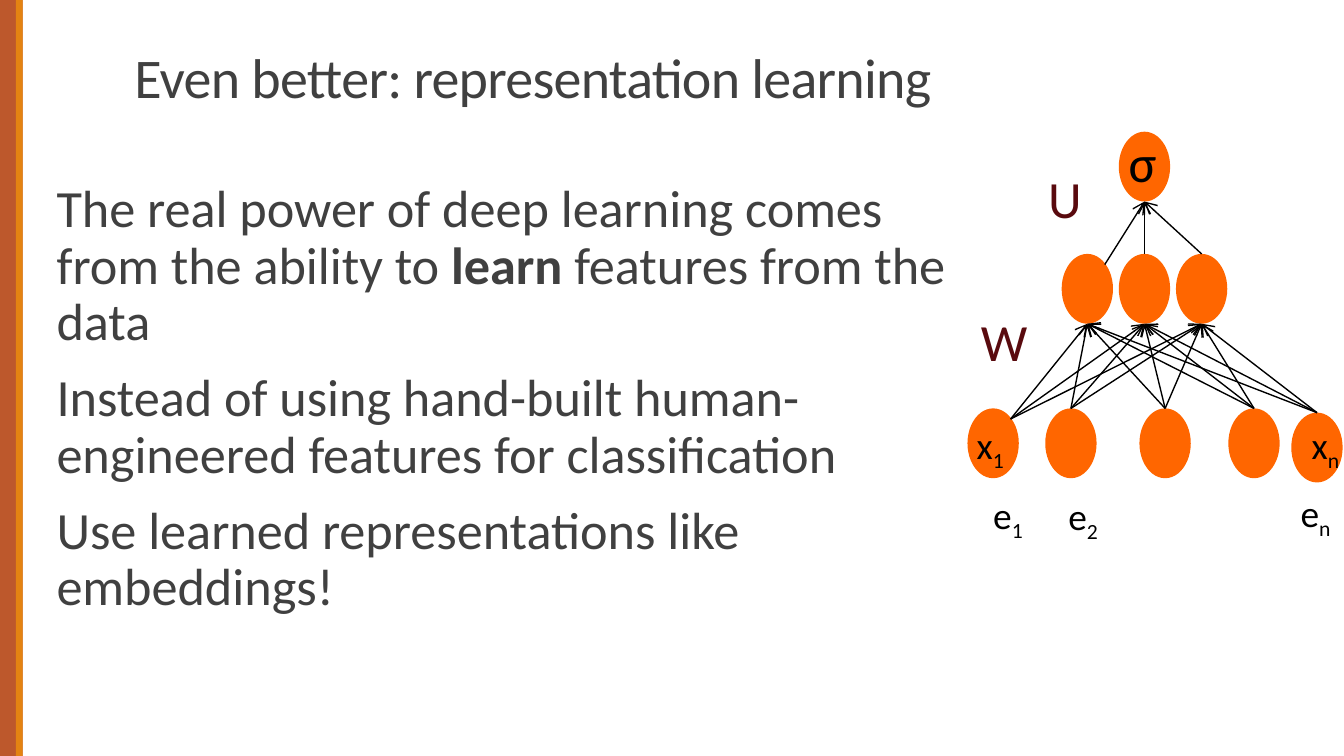
"""Build the slide on representation learning with its small neural network."""
from lxml import etree
from pptx import Presentation
from pptx.dml.color import RGBColor
from pptx.enum.shapes import MSO_CONNECTOR, MSO_SHAPE
from pptx.enum.text import MSO_ANCHOR
from pptx.oxml.ns import qn
from pptx.util import Cm, Pt

RECT, OVAL = MSO_SHAPE.RECTANGLE, MSO_SHAPE.OVAL
STRAIGHT = MSO_CONNECTOR.STRAIGHT
BOTTOM = MSO_ANCHOR.BOTTOM
RUST = RGBColor(0xBD, 0x58, 0x2C)
AMBER = RGBColor(0xE4, 0x83, 0x12)
ORANGE = RGBColor(0xFF, 0x66, 0x00)
GREY = RGBColor(0x40, 0x40, 0x40)
MAROON = RGBColor(0x59, 0x0A, 0x0E)
BLACK = RGBColor(0, 0, 0)
FONT = "Calibri"

TITLE = "Even better: representation learning"
BODY = [
    [("The real power of deep learning comes from the ability to ", False),
     ("learn", True), (" features from the data", False)],
    [("Instead of using hand-built human-engineered features for classification", False)],
    [("Use learned representations like embeddings!", False)],
]
NODE_W, NODE_H = 0.97, 1.32
SHOULDER_X, SHOULDER_Y = 0.33, 0.2
INPUTS = [(18.77, 7.72), (20.24, 7.72), (22.02, 7.72), (23.7, 7.72), (24.89, 7.8)]
HIDDEN = [(21.63 + 1.08 * i, 4.8) for i in (-1, 0, 1)]
OUTPUT = [(21.63, 2.49)]
LABELS = [
    ("U", "", 28, MAROON, 19.56, 3.02, 0.58, True),
    ("W", "", 28, MAROON, 18.29, 5.72, 0.58, True),
    ("σ", "", 28, BLACK, 21.08, 2.34, 1.04, False),
    ("x", "1", 20, BLACK, 18.21, 7.85, 1.65, True),
    ("x", "n", 20, BLACK, 24.54, 7.85, 1.07, True),
    ("e", "1", 20, BLACK, 18.52, 9.17, 1.12, False),
    ("e", "2", 20, BLACK, 19.94, 9.2, 1.12, False),
    ("e", "n", 20, BLACK, 24.33, 9.14, 1.12, False),
]

prs = Presentation()
prs.slide_width, prs.slide_height = Cm(25.4), Cm(14.29)
s = prs.slides.add_slide(prs.slide_layouts[6])


def add_filled(kind, x, y, w, h, color):
    sp = s.shapes.add_shape(kind, Cm(x), Cm(y), Cm(w), Cm(h))
    sp.shadow.inherit = False
    sp.fill.solid()
    sp.fill.fore_color.rgb = color
    sp.line.fill.background()


def add_text(x, y, w, h, wrap=True):
    tf = s.shapes.add_textbox(Cm(x), Cm(y), Cm(w), Cm(h)).text_frame
    tf.word_wrap = wrap
    return tf


def set_font(p, size, color):
    p.font.name, p.font.size = FONT, Pt(size)
    p.font.color.rgb = color


def add_arrow(x1, y1, x2, y2):
    line = s.shapes.add_connector(STRAIGHT, Cm(x1), Cm(y1), Cm(x2), Cm(y2))
    line.line.color.rgb = BLACK
    line.line.width = Pt(0.75)
    etree.SubElement(line.line._get_or_add_ln(), qn("a:tailEnd"), type="arrow")
    etree.SubElement(line._element.spPr, qn("a:effectLst"))


def connect_layers(lower, upper):
    for i, (x, y) in enumerate(lower):
        if i == 0:
            x, y = x + SHOULDER_X, y + SHOULDER_Y
        for x2, y2 in upper:
            add_arrow(x, y, x2, y2 + NODE_H)


add_filled(RECT, 0, 0, 0.43, 14.29, RUST)
add_filled(RECT, 0.3, 0, 0.13, 14.29, AMBER)

tf = add_text(2.29, 0.33, 23.11, 1.88)
tf.vertical_anchor = BOTTOM
p = tf.paragraphs[0]
r = p.add_run()
r.text = TITLE
p.line_spacing = 0.85
set_font(p, 30, GREY)
r.font._element.set("spc", "-40")

tf = add_text(1.07, 3.33, 16.99, 9.53)
tf.margin_left = tf.margin_right = 0
for i, runs in enumerate(BODY):
    p = tf.add_paragraph() if i else tf.paragraphs[0]
    p.line_spacing = 0.9
    p.space_before, p.space_after = Pt(9 if i else 0), Pt(1.5)
    set_font(p, 28, GREY)
    for text, bold in runs:
        r = p.add_run()
        r.text = text
        if bold:
            r.font.bold = True

for x, y in OUTPUT + HIDDEN + INPUTS:
    add_filled(OVAL, x - NODE_W / 2, y, NODE_W, NODE_H, ORANGE)
connect_layers(HIDDEN, OUTPUT)
connect_layers(INPUTS, HIDDEN)

for text, sub, size, color, x, y, w, wrap in LABELS:
    p = add_text(x, y, w, 1.45 if size == 28 else 1.12, wrap).paragraphs[0]
    set_font(p, size, color)
    p.add_run().text = text
    if sub:
        r = p.add_run()
        r.text = sub
        r.font._element.set("baseline", "-25000")

prs.save("out.pptx")
